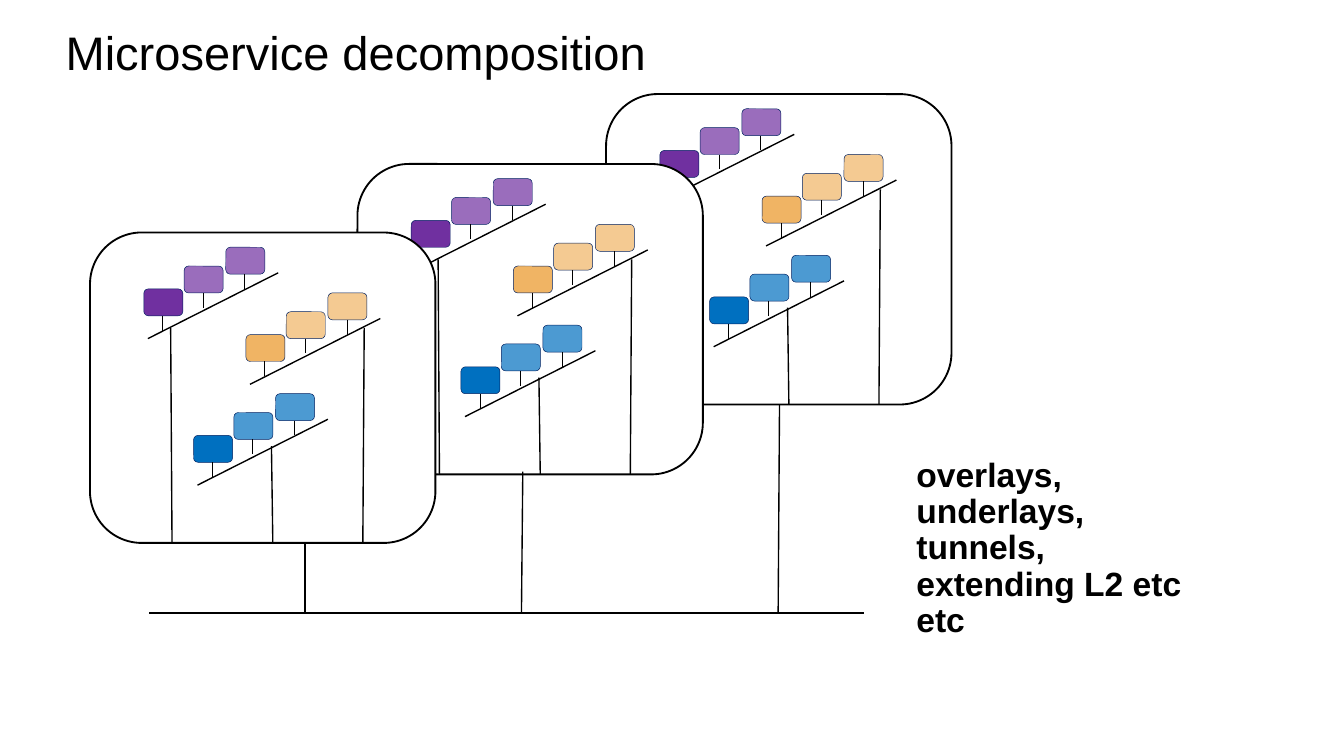
from pptx import Presentation
from pptx.dml.color import RGBColor
from pptx.enum.shapes import MSO_CONNECTOR as Connector, MSO_SHAPE as Shape
from pptx.enum.text import MSO_ANCHOR as Anchor
from pptx.oxml.ns import qn
from pptx.util import Inches, Pt
from lxml.etree import SubElement

COLORS = {
    "black": "000000", "white": "FFFFFF", "outline": "002060",
    "purple": "7030A0", "orange": "F0B464", "blue": "0070C0",
}
PANEL_SIZE = (2.57, 2.31)
PANELS = [(4.51, 0.7), (2.66, 1.22), (0.67, 1.73)]
TILE_SIZE = (0.29, 0.2)
TILE_STEPS = [(0, 0), (0.3, -0.17), (0.61, -0.31)]
SERVICES = {
    "purple": {"at": (0.4, 0.42), "trunk": ((0.6, 0.71), (0.61, 2.31))},
    "orange": {"at": (1.16, 0.76), "trunk": ((2.04, 0.71), (2.03, 2.31))},
    "blue": {"at": (0.77, 1.51), "trunk": ((1.35, 1.59), (1.36, 2.31))},
}
BUS_Y = 4.56
UPLINKS = [((5.79, BUS_Y), (5.8, 3.01)), ((3.88, BUS_Y), (3.89, 3.51)),
           ((2.27, BUS_Y), (2.27, 4.05))]


def rgb(name):
    """Return the named colour."""
    return RGBColor.from_string(COLORS[name])


def shift(origin, offset):
    """Return the point at an offset from the origin."""
    return origin[0] + offset[0], origin[1] + offset[1]


def add_line(shapes, start, end, width=0.75):
    """Draw a plain black line between two points."""
    line = shapes.add_connector(
        Connector.STRAIGHT, *[Inches(value) for value in (*start, *end)])
    line.line.color.rgb = rgb("black")
    line.line.width = Pt(width)
    SubElement(line._element.spPr, qn("a:effectLst"))


def add_rounded(shapes, origin, size, fill, outline, width, opacity=100):
    """Draw a rounded rectangle, optionally see-through."""
    shape = shapes.add_shape(
        Shape.ROUNDED_RECTANGLE, *[Inches(value) for value in (*origin, *size)])
    shape.shadow.inherit = False
    shape.fill.solid()
    shape.fill.fore_color.rgb = rgb(fill)
    shape.line.color.rgb = rgb(outline)
    shape.line.width = Pt(width)
    if opacity < 100:
        color = shape._element.spPr.find(qn("a:solidFill"))[0]
        SubElement(color, qn("a:alpha"), val=str(opacity * 1000))


def add_service(shapes, origin, color, first_stem):
    """Draw three tiles standing on a sloping rail."""
    for index, step in enumerate(TILE_STEPS):
        corner = shift(origin, step)
        add_rounded(shapes, corner, TILE_SIZE, color, "outline", 0.25,
                    70 if index else 100)
        if index or first_stem:
            add_line(shapes, shift(corner, (0.14, 0.2)),
                     shift(corner, (0.14, 0.31)), 0.25)
    add_line(shapes, shift(origin, (0.03, 0.37)), shift(origin, (1, -0.12)))


def add_panel(page, origin, is_back, is_front):
    """Draw one host panel, leaving out parts the next panel covers."""
    shapes = page.shapes.add_group_shape().shapes
    add_rounded(shapes, origin, PANEL_SIZE, "white", "black", 1)
    for color, service in SERVICES.items():
        add_service(shapes, shift(origin, service["at"]), color,
                    is_front or color != "purple")
    for color, service in SERVICES.items():
        if not (is_back and color == "purple"):
            add_line(shapes, *[shift(origin, point) for point in service["trunk"]])


def add_network(page):
    """Draw the shared bus and its uplinks to the panels."""
    add_line(page.shapes, (1.11, BUS_Y), (6.43, BUS_Y))
    for start, end in UPLINKS:
        add_line(page.shapes, start, end)


def add_text(page, box, text, size, bold, anchor):
    """Place one paragraph of wrapped text."""
    frame = page.shapes.add_textbox(*[Inches(value) for value in box]).text_frame
    frame.word_wrap = True
    frame.vertical_anchor = anchor
    para = frame.paragraphs[0]
    para.text = text
    para.line_spacing = 0.9
    para.font.name = "Arial"
    para.font.size = Pt(size)
    para.font.bold = bold
    para.font.color.rgb = rgb("black")


def main():
    """Build and save the slide."""
    deck = Presentation()
    deck.slide_width = Inches(10)
    deck.slide_height = deck.slide_width * 9 // 16
    page = deck.slides.add_slide(deck.slide_layouts[6])
    add_text(page, (0.39, 0.17, 9.31, 0.48), "Microservice decomposition",
             25.2, False, Anchor.BOTTOM)
    for index, origin in enumerate(PANELS):
        add_panel(page, origin, index == 0, index == len(PANELS) - 1)
    add_network(page)
    add_text(page, (6.72, 3.36, 2.22, 1.46),
             "overlays, underlays, tunnels, extending L2 etc etc",
             18, True, Anchor.TOP)
    deck.save("out.pptx")


if __name__ == "__main__":
    main()
